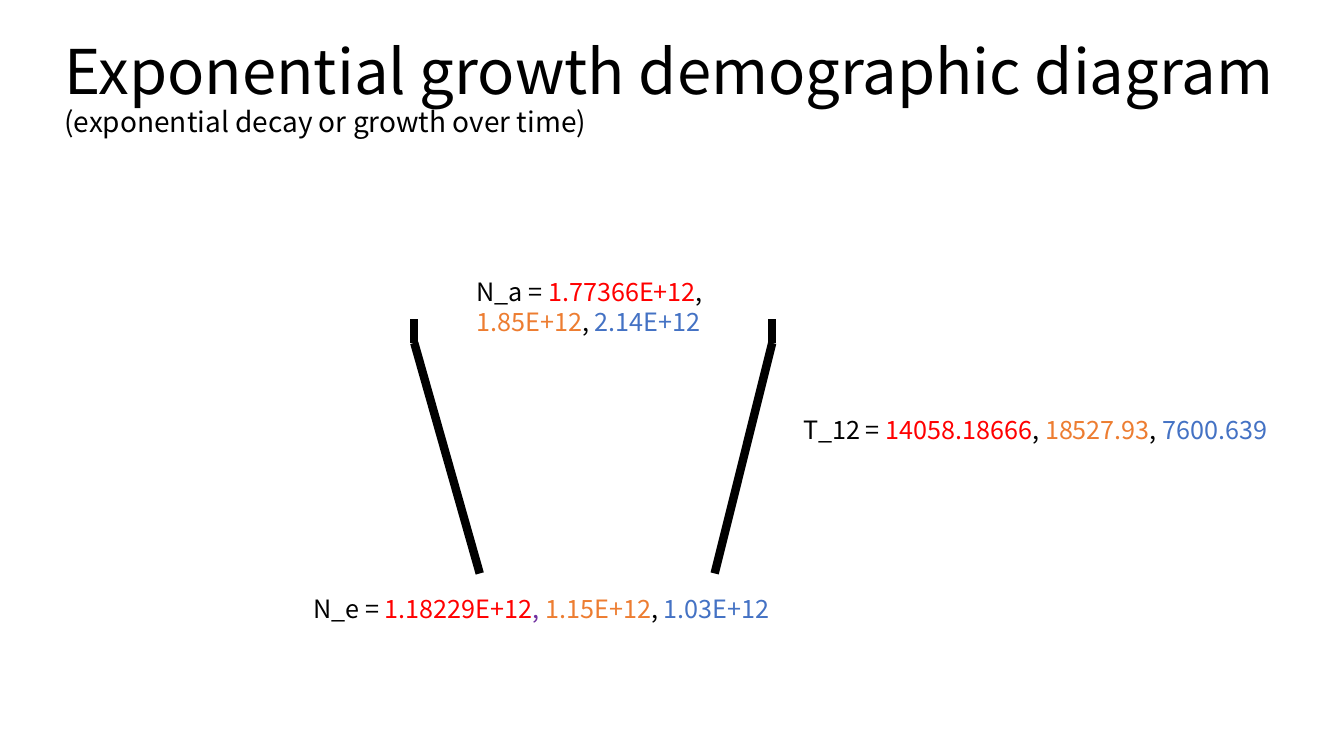
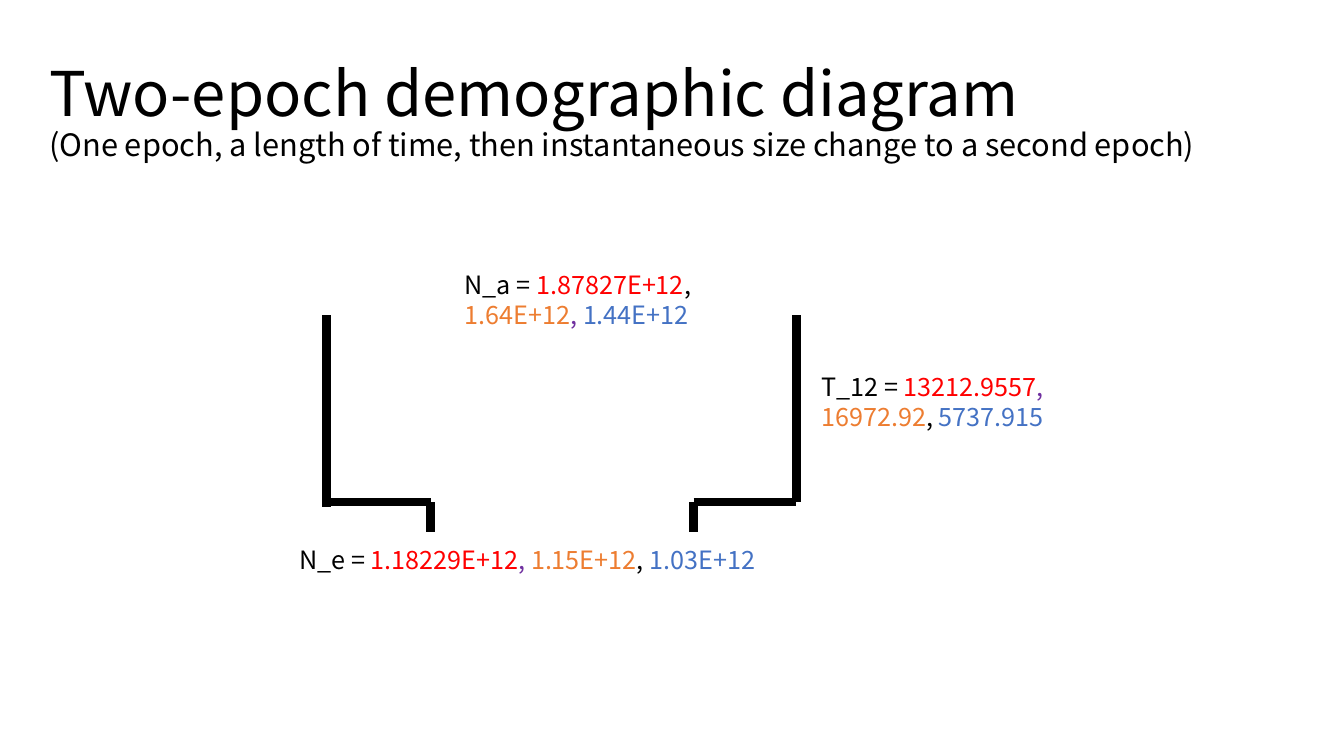
from pptx import Presentation
from pptx.dml.color import RGBColor
from pptx.enum import shapes, text
from pptx.oxml.ns import qn
from pptx.util import Cm, Pt
from lxml import etree

FONT = "Noto Sans CJK JP"
BLACK = RGBColor(0x00, 0x00, 0x00)
RED = RGBColor(0xFF, 0x00, 0x00)
ORANGE = RGBColor(0xED, 0x7D, 0x31)
BLUE = RGBColor(0x44, 0x72, 0xC4)
PURPLE = RGBColor(0x70, 0x30, 0xA0)
ESTIMATE_COLORS = (RED, ORANGE, BLUE)

TITLE_SIZE = 44
LABEL_SIZE = 18
WALL_WIDTH = Pt(6)
TITLE_HEIGHT = 3.68

PRESENT_SIZE = ("1.18229E+12", "1.15E+12", "1.03E+12")

# Boxes are (left, top, width, height) and walls (x1, y1, x2, y2), in cm.
# A label is (symbol, estimates, colours of the two commas, box).
DIAGRAMS = [
    {
        "title": "Exponential growth demographic diagram",
        "subtitle": "(exponential decay or growth over time)",
        "subtitle_size": 20,
        "title_box": (1.37, 0.43, 31.14, TITLE_HEIGHT),
        "walls": [
            (10.44, 8.05, 10.44, 8.64),
            (19.46, 8.05, 19.46, 8.64),
            (10.44, 8.64, 12.09, 14.45),
            (19.46, 8.64, 18.01, 14.45),
        ],
        "labels": [
            ("N_e", PRESENT_SIZE, (PURPLE, BLACK), (7.65, 14.83, 12.67, 1.02)),
            ("T_12", ("14058.18666", "18527.93", "7600.639"), (BLACK, BLACK),
             (19.99, 10.31, 12.52, 3.33)),
            ("N_a", ("1.77366E+12", "1.85E+12", "2.14E+12"), (BLACK, BLACK),
             (11.76, 6.83, 8, 2.57)),
        ],
    },
    {
        "title": "Two-epoch demographic diagram",
        "subtitle": "(One epoch, a length of time, then instantaneous size "
                    "change to a second epoch)",
        "subtitle_size": 22,
        "title_box": (0.99, 1.02, 30.56, TITLE_HEIGHT),
        "walls": [
            (8.23, 7.95, 8.23, 12.78),
            (8.23, 12.65, 10.85, 12.65),
            (17.48, 12.65, 20.07, 12.65),
            (10.85, 12.65, 10.85, 13.41),
            (17.48, 12.65, 17.48, 13.41),
            (20.07, 7.95, 20.07, 12.65),
        ],
        "labels": [
            ("N_a", ("1.87827E+12", "1.64E+12", "1.44E+12"), (BLACK, PURPLE),
             (11.46, 6.65, 8.61, 1.8)),
            ("T_12", ("13212.9557", "16972.92", "5737.915"), (PURPLE, BLACK),
             (20.45, 9.22, 8.59, 1.8)),
            ("N_e", PRESENT_SIZE, (PURPLE, BLACK), (7.29, 13.59, 16.94, 1.02)),
        ],
    },
]


def add_text_frame(slide, box, anchor):
    frame = slide.shapes.add_textbox(*map(Cm, box)).text_frame
    frame.word_wrap = True
    frame.vertical_anchor = anchor
    return frame


def add_run(paragraph, wording, size, color=BLACK):
    run = paragraph.add_run()
    run.text = wording
    run.font.name = FONT
    run.font.size = Pt(size)
    run.font.color.rgb = color


def add_title(slide, diagram):
    frame = add_text_frame(slide, diagram["title_box"], text.MSO_ANCHOR.MIDDLE)
    heading = frame.paragraphs[0]
    heading.line_spacing = 0.9
    add_run(heading, diagram["title"], TITLE_SIZE)
    heading.add_line_break()
    add_run(heading, diagram["subtitle"], diagram["subtitle_size"])


def add_wall(slide, ends):
    wall = slide.shapes.add_connector(shapes.MSO_CONNECTOR.STRAIGHT, *map(Cm, ends))
    wall.line.color.rgb = BLACK
    wall.line.width = WALL_WIDTH
    etree.SubElement(wall._element.spPr, qn("a:effectLst"))


def add_label(slide, symbol, estimates, comma_colors, box):
    """Write a symbol and its three estimates, one colour per estimate."""
    label = add_text_frame(slide, box, text.MSO_ANCHOR.TOP).paragraphs[0]
    add_run(label, f"{symbol} = ", LABEL_SIZE)
    for i, (estimate, color) in enumerate(zip(estimates, ESTIMATE_COLORS)):
        if i:
            add_run(label, ", ", LABEL_SIZE, comma_colors[i - 1])
        add_run(label, estimate, LABEL_SIZE, color)


def main():
    deck = Presentation()
    deck.slide_width, deck.slide_height = Cm(33.87), Cm(19.05)
    blank = deck.slide_layouts[6]
    for diagram in DIAGRAMS:
        slide = deck.slides.add_slide(blank)
        add_title(slide, diagram)
        for ends in diagram["walls"]:
            add_wall(slide, ends)
        for label in diagram["labels"]:
            add_label(slide, *label)
    deck.save("out.pptx")


if __name__ == "__main__":
    main()
